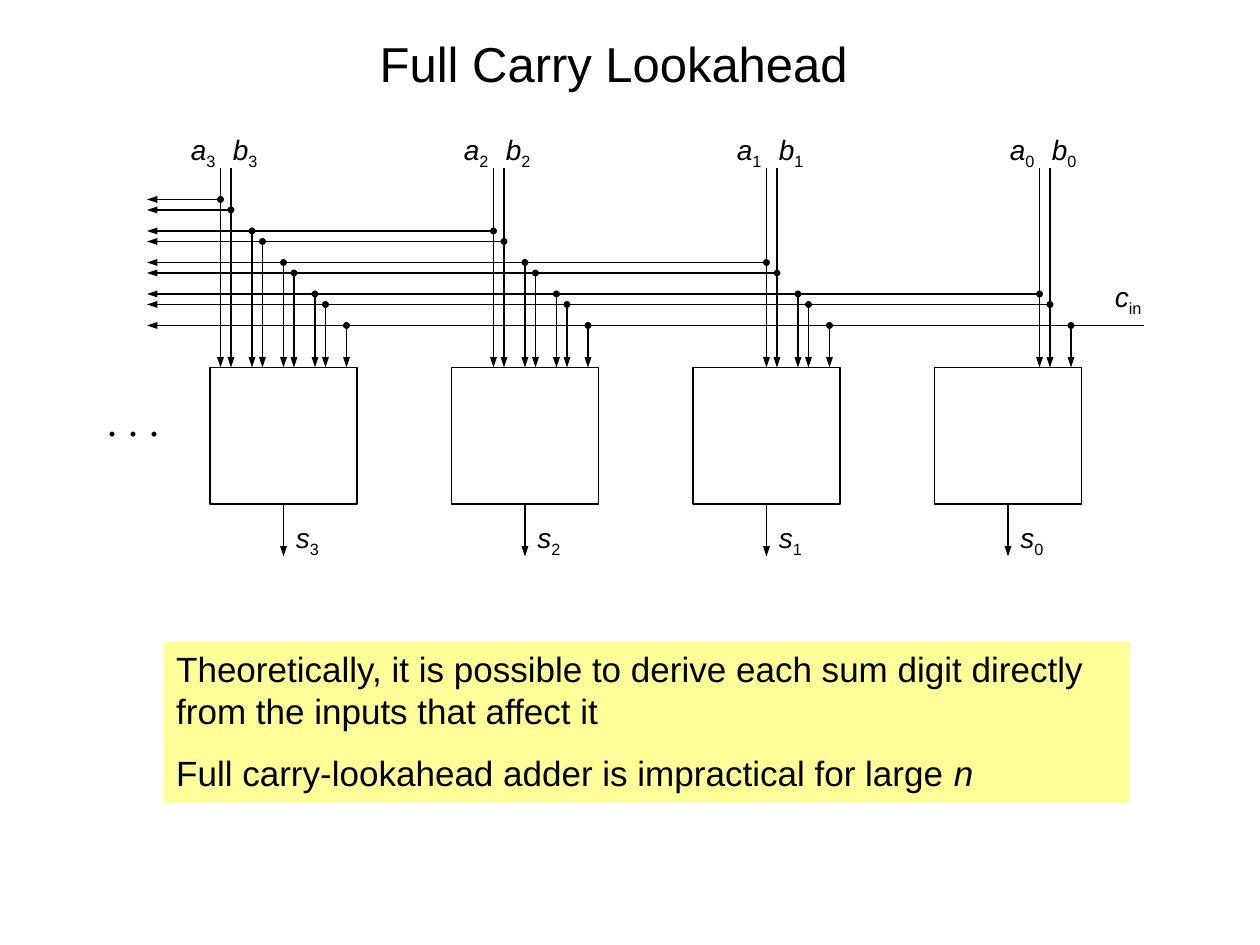
from dataclasses import dataclass

from lxml import etree
from pptx import Presentation
from pptx import slide as slides
from pptx.dml.color import RGBColor
from pptx.enum import shapes, text
from pptx.oxml import ns
from pptx.util import Inches, Pt

COLORS = {"ink": "000000", "paper": "FFFFFF", "note": "FFFF99"}
STAGES = 4
STAGE_STEP = 23
INPUT_STEP = 26
BUS_STEP = 3
BUS_LEFT = 14
INPUT_TOP = 16
CARRY_Y = 31
BOX_TOP = 35
BOX_BOTTOM = 48


def grid(units):
    return Inches(units / 12)


def color(name):
    return RGBColor.from_string(COLORS[name])


@dataclass
class Diagram:
    page: slides.Slide
    font: str = "Arial"
    line_width: float = 0.75

    def style(self, span, size, italic=False, font=None):
        span.font.name = font or self.font
        span.font.size = Pt(size)
        span.font.italic = italic
        span.font.color.rgb = color("ink")

    def text(self, left, top, width, height, words, size, font=None):
        box = self.page.shapes.add_textbox(left, top, width, height)
        frame = box.text_frame
        frame.text = words
        frame.word_wrap = False
        frame.auto_size = text.MSO_AUTO_SIZE.SHAPE_TO_FIT_TEXT
        self.style(frame.paragraphs[0].runs[0], size, font=font)
        return frame

    def title(self, words):
        frame = self.text(Inches(0.33), 0, Inches(9.08), Inches(1), words, 28)
        frame.word_wrap = True
        frame.auto_size = text.MSO_AUTO_SIZE.NONE
        frame.vertical_anchor = text.MSO_ANCHOR.MIDDLE
        frame.paragraphs[0].alignment = text.PP_ALIGN.CENTER

    def label(self, x, y, letter, index):
        frame = self.text(grid(x), grid(y), Inches(0.41), Inches(0.37), letter, 16)
        para = frame.paragraphs[0]
        para.runs[0].font.italic = True
        subscript = para.add_run()
        subscript.text = str(index)
        self.style(subscript, 16)
        subscript.font._element.set("baseline", "-25000")

    def rectangle(self, left, top, width, height, fill):
        box = self.page.shapes.add_shape(
            shapes.MSO_SHAPE.RECTANGLE, left, top, width, height)
        box.shadow.inherit = False
        box.fill.solid()
        box.fill.fore_color.rgb = color(fill)
        box.line.fill.background()
        return box

    def stage(self, x):
        box = self.rectangle(
            grid(x), grid(BOX_TOP), grid(14), grid(BOX_BOTTOM - BOX_TOP), "paper")
        box.line.color.rgb = color("ink")
        box.line.width = Pt(self.line_width)

    def note(self, left, top, width, height, paragraphs):
        box = self.rectangle(left, top, width, height, "note")
        frame = box.text_frame
        frame.word_wrap = True
        frame.vertical_anchor = text.MSO_ANCHOR.TOP
        for number, spans in enumerate(paragraphs):
            para = frame.add_paragraph() if number else frame.paragraphs[0]
            para.alignment = text.PP_ALIGN.LEFT
            if number:
                para.space_before = Pt(11.5)
            for words, italic in spans:
                span = para.add_run()
                span.text = words
                self.style(span, 20, italic)

    def wire(self, x1, y1, x2, y2, head=None, tail=None):
        wire = self.page.shapes.add_connector(
            shapes.MSO_CONNECTOR.STRAIGHT, grid(x1), grid(y1), grid(x2), grid(y2))
        wire.line.color.rgb = color("ink")
        wire.line.width = Pt(self.line_width)
        outline = wire.line._get_or_add_ln()
        for tag, kind in (("a:headEnd", head), ("a:tailEnd", tail)):
            if kind:
                length = "sm" if kind == "oval" else "med"
                etree.SubElement(outline, ns.qn(tag), type=kind, w="sm", len=length)
        etree.SubElement(wire._element.spPr, ns.qn("a:effectLst"))

    def tap(self, x, y):
        self.wire(x, y, x, BOX_TOP, "oval", "triangle")


def draw_adder(diagram):
    for stage in range(STAGES):
        shift = STAGE_STEP * stage
        diagram.stage(89 - shift)
        diagram.tap(102 - shift, CARRY_Y)
        diagram.wire(96 - shift, BOX_BOTTOM, 96 - shift, 53, tail="triangle")
        diagram.label(96 - shift, 49, "s", stage)

    for digit in range(STAGES):
        input_x = 99 - INPUT_STEP * digit
        bus_y = 28 - BUS_STEP * digit
        for offset, letter, label_x in ((0, "a", input_x - 4), (1, "b", input_x)):
            x, y = input_x + offset, bus_y + offset
            diagram.wire(x, y, x, INPUT_TOP)
            diagram.wire(BUS_LEFT, y, x, y, head="triangle")
            diagram.label(label_x, 12, letter, digit)
            for stage in range(digit, STAGES):
                diagram.tap(99 - STAGE_STEP * stage - BUS_STEP * digit + offset, y)

    diagram.wire(BUS_LEFT, CARRY_Y, 109, CARRY_Y, head="triangle")
    diagram.label(105, 26, "c", "in")
    diagram.text(grid(9), grid(37), Inches(0.62), Inches(0.5),
                 ". . .", 24, "Times New Roman")


def main():
    deck = Presentation()
    deck.slide_width, deck.slide_height = Inches(10), Inches(7.5)
    diagram = Diagram(deck.slides.add_slide(deck.slide_layouts[6]))
    diagram.title("Full Carry Lookahead")
    diagram.note(Inches(1.3), Inches(5.09), Inches(7.67), Inches(1.28), [
        [("Theoretically, it is possible to derive each sum digit directly "
          "from the inputs that affect it", False)],
        [("Full carry-lookahead adder is impractical for large ", False),
         ("n", True)],
    ])
    draw_adder(diagram)
    deck.save("out.pptx")


if __name__ == "__main__":
    main()
